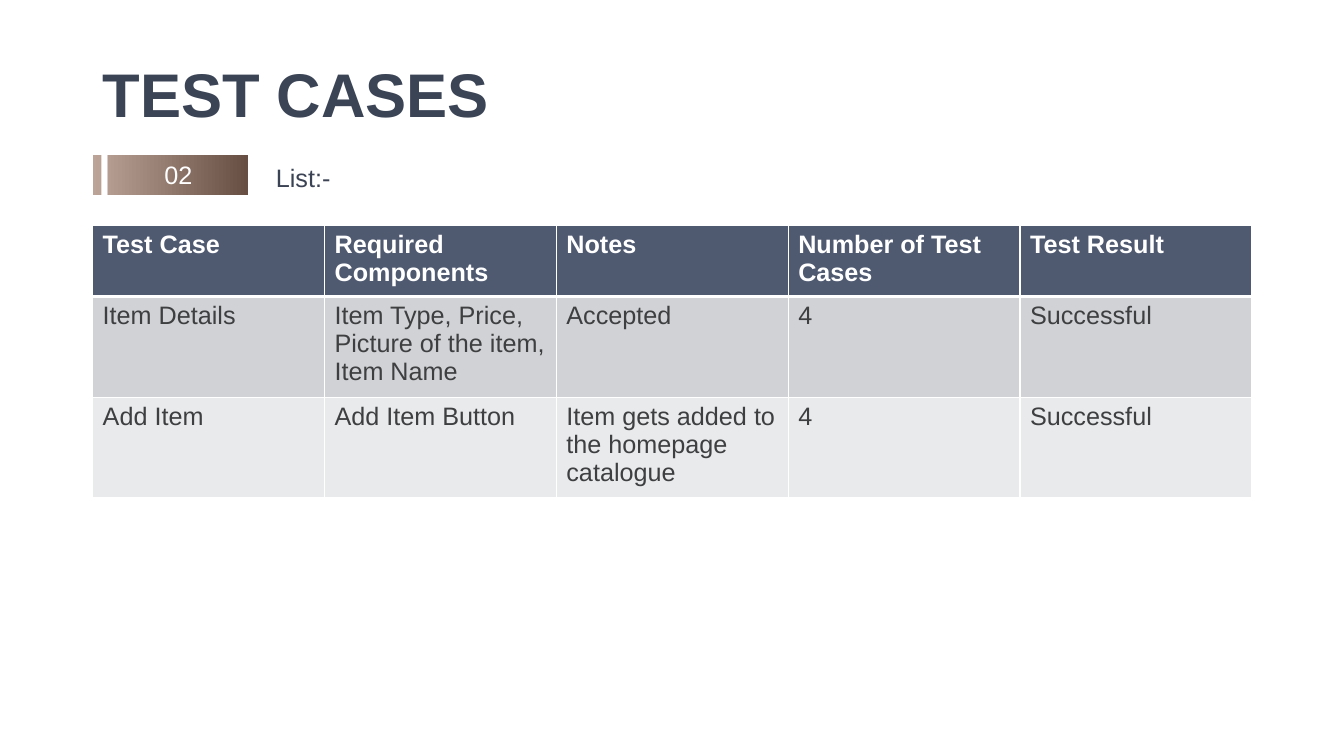
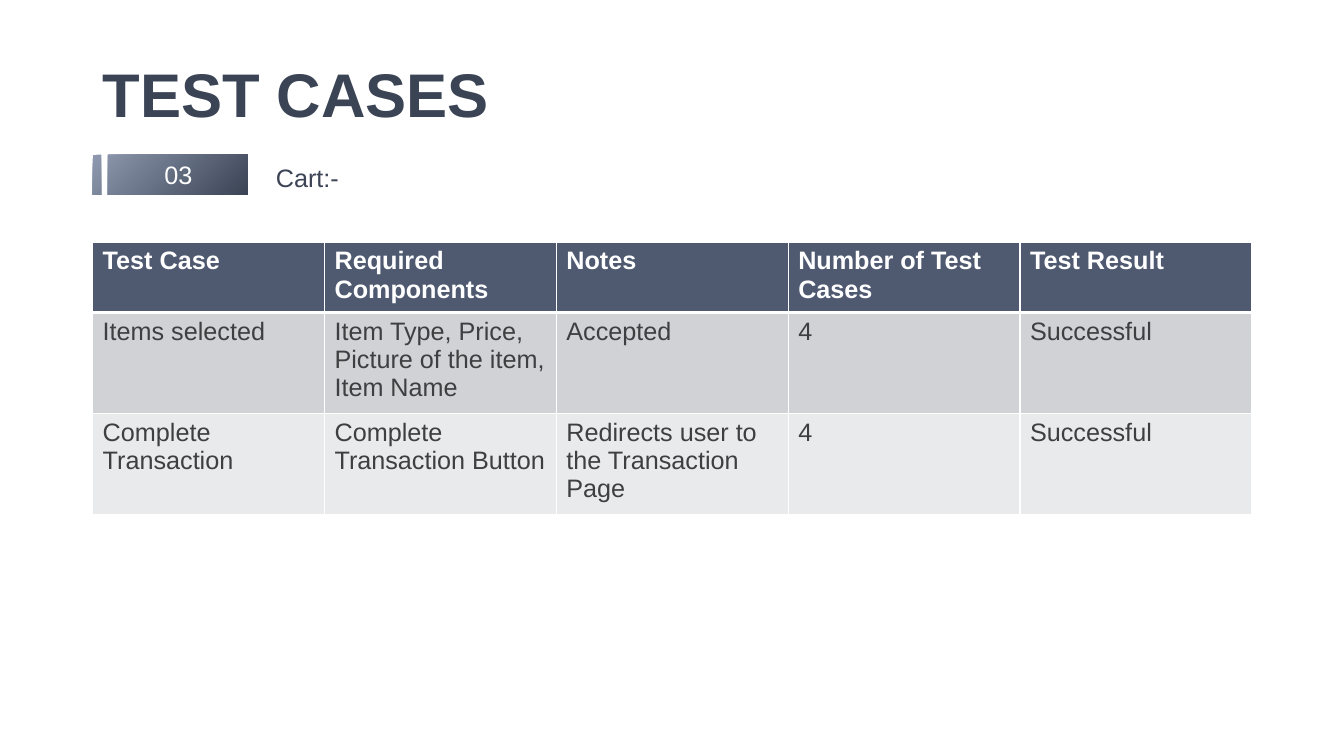
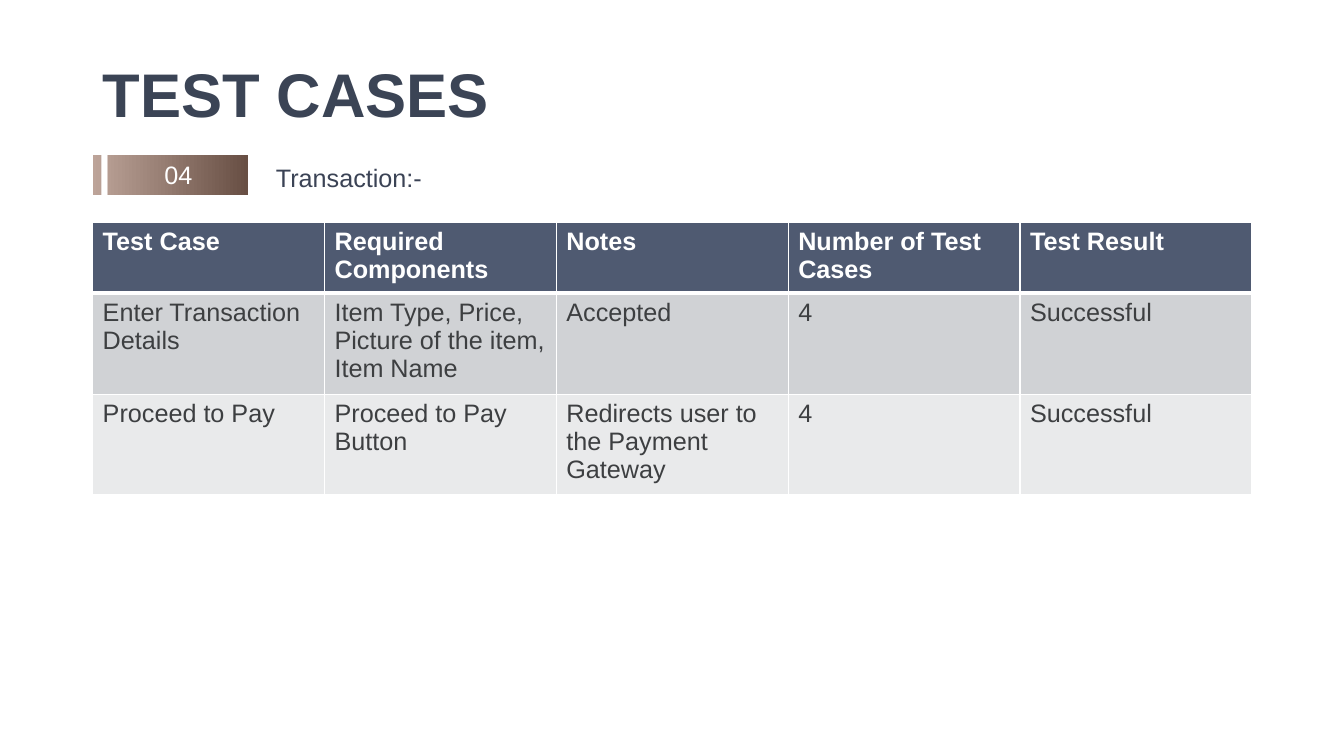
from dataclasses import dataclass

from lxml import etree
from pptx import Presentation
from pptx.dml.color import RGBColor
from pptx.enum import text
from pptx.oxml import ns
from pptx.util import Pt


@dataclass(frozen=True)
class Theme:
    """Colours, font and type sizes of the deck."""
    face: str = "Arial"
    big: int = 44
    body: int = 18
    title: str = "3B4455"
    label: str = "3B4355"
    white: str = "FFFFFF"
    ink: str = "3D3F41"
    head: str = "4F5A71"
    bands: tuple = ("D0D2D5", "E9EAEB")
    brown: tuple = ("BDA499", "684F44", 0)
    slate: tuple = ("8F9AB0", "3B4455", 45)


LEFT, WIDTH, TAG = 66.2, 828, 110.4
HEAD = ["Test Case", "Required Components", "Notes", "Number of Test Cases", "Test Result"]
ITEM = "Item Type, Price, Picture of the item, Item Name"
ROWS = [47, 67, 67]


class Deck:
    """Holds the theme, the presentation and the current slide."""

    def __init__(self, theme):
        """Start an empty wide presentation."""
        self.theme = theme
        self.prs = Presentation()
        self.prs.slide_width, self.prs.slide_height = Pt(960), Pt(540)

    def page(self):
        """Open a new blank slide."""
        self.slide = self.prs.slides.add_slide(self.prs.slide_layouts[6])

    def put(self, frame, words, size, colour, bold=False):
        """Fill a text frame with one styled paragraph and return it."""
        para = frame.paragraphs[0]
        para.text = words
        font = para.font
        font.name, font.size, font.bold = self.theme.face, Pt(size), bold
        font.color.rgb = RGBColor.from_string(colour)
        return para

    def box(self, left, top, width, height):
        """Add a wrapping text box and return its frame."""
        frame = self.slide.shapes.add_textbox(Pt(left), Pt(top), Pt(width), Pt(height)).text_frame
        frame.word_wrap = True
        return frame

    def title(self, words):
        """Add the slide title."""
        frame = self.box(LEFT, 28.8, WIDTH, 81.4)
        frame.vertical_anchor = text.MSO_ANCHOR.MIDDLE
        self.put(frame, words, self.theme.big, self.theme.title, True).line_spacing = 0.9

    def label(self, words):
        """Add the section name beside the tag."""
        frame = self.box(190, TAG, 360, 114.5)
        self.put(frame, words, self.theme.body, self.theme.label).line_spacing = 1.1

    def tag(self, number, blend):
        """Add the numbered two-part tag with a gradient."""
        low = TAG + 28.8
        spans = [(LEFT + 10.8, LEFT + 110.8), (LEFT, LEFT + 6)]
        pen = self.slide.shapes.build_freeform(Pt(spans[0][0]), Pt(TAG), 1.0)
        for start, end in spans:
            if start == LEFT:
                pen.move_to(Pt(start), Pt(TAG))
            corners = [(end, TAG), (end, low), (start, low)]
            pen.add_line_segments([(Pt(x), Pt(y)) for x, y in corners], close=True)
        shape = pen.convert_to_shape()
        shape.shadow.inherit = False
        shape.line.fill.background()
        shape.fill.gradient()
        *tones, angle = blend
        shape.fill.gradient_angle = -angle % 360
        for place, (stop, tone) in enumerate(zip(shape.fill.gradient_stops, tones)):
            stop.color.rgb = RGBColor.from_string(tone)
            stop.position = place
        frame = shape.text_frame
        frame.margin_left = Pt(11.5)
        frame.margin_top = frame.margin_right = frame.margin_bottom = 0
        frame.vertical_anchor = text.MSO_ANCHOR.MIDDLE
        para = self.put(frame, number, self.theme.body, self.theme.white)
        para.alignment = text.PP_ALIGN.CENTER

    def edges(self, cell, top, base):
        """Draw the white borders of a cell."""
        props = cell._tc.get_or_add_tcPr()
        for side, width in zip("LRTB", (1, 1, top, base)):
            line = etree.SubElement(props, ns.qn("a:ln" + side), w=str(Pt(width)))
            fill = etree.SubElement(line, ns.qn("a:solidFill"))
            etree.SubElement(fill, ns.qn("a:srgbClr"), val=self.theme.white)

    def table(self, top, rows):
        """Add a table with a header row and banded body rows."""
        grid = [HEAD] + rows
        table = self.slide.shapes.add_table(
            len(grid), len(HEAD), Pt(LEFT), Pt(top), Pt(WIDTH), Pt(sum(ROWS))).table
        for r, (row, height) in enumerate(zip(grid, ROWS)):
            table.rows[r].height = Pt(height)
            first = r == 0
            tone = self.theme.head if first else self.theme.bands[(r - 1) % 2]
            ink = self.theme.white if first else self.theme.ink
            for c, words in enumerate(row):
                cell = table.cell(r, c)
                self.edges(cell, 3 if r == 1 else 1, 3 if first else 1)
                cell.fill.solid()
                cell.fill.fore_color.rgb = RGBColor.from_string(tone)
                self.put(cell.text_frame, words, self.theme.body, ink, first)


def main():
    """Build the three slides and save them."""
    theme = Theme()
    deck = Deck(theme)
    pages = [
        ("02", "List:-", theme.brown, 161.3, ("Item Details", "Add Item"),
         "Add Item Button", "Item gets added to the homepage catalogue"),
        ("03", "Cart:-", theme.slate, 172.8, ("Items selected", "Complete Transaction"),
         "Complete Transaction Button", "Redirects user to the Transaction Page"),
        ("04", "Transaction:-", theme.brown, 159.1, ("Enter Transaction Details", "Proceed to Pay"),
         "Proceed to Pay Button", "Redirects user to the Payment Gateway"),
    ]
    for number, name, blend, top, cases, button, note in pages:
        deck.page()
        deck.title("TEST CASES")
        deck.label(name)
        deck.tag(number, blend)
        needs = [(ITEM, "Accepted"), (button, note)]
        deck.table(top, [[case, *need, "4", "Successful"] for case, need in zip(cases, needs)])
    deck.prs.save("out.pptx")


if __name__ == "__main__":
    main()
